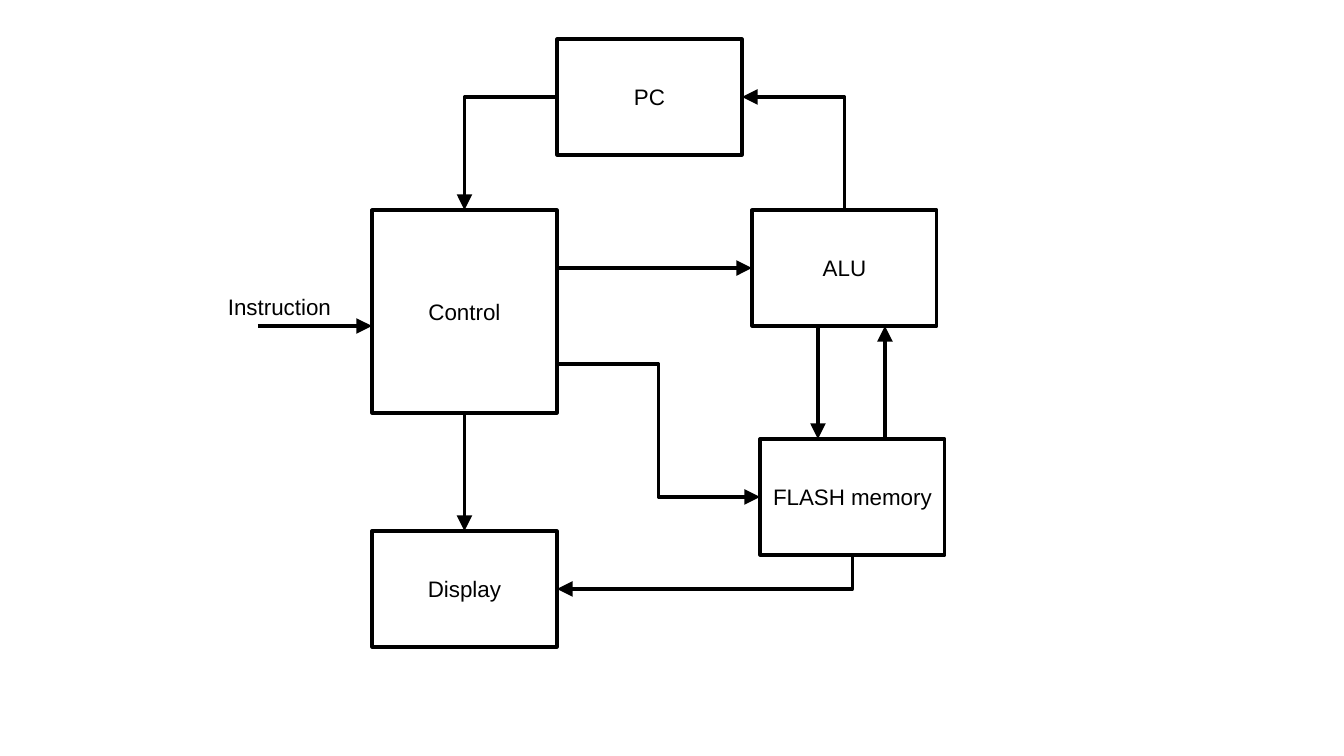
from lxml import etree
from pptx import Presentation
from pptx.dml.color import RGBColor
from pptx.enum.shapes import MSO_CONNECTOR, MSO_SHAPE
from pptx.enum.text import MSO_ANCHOR, PP_ALIGN
from pptx.oxml.ns import qn
from pptx.util import Pt

COLORS = {"ink": "000000", "paper": "FFFFFF"}
BOX_W, BOX_H = 185, 116
BOXES = {
    "ALU": (752, 210, BOX_W, BOX_H),
    "PC": (557, 39, BOX_W, BOX_H),
    "Control": (372, 210, BOX_W, 203),
    "Display": (372, 531, BOX_W, BOX_H),
    "FLASH memory": (760, 439, BOX_W, BOX_H),
}
INSTRUCTION_LABEL = ("Instruction", (218, 288, 125, 37))
INSTRUCTION_START = (258, 326)

STRAIGHT, CORNER, STEP = "line", "bentConnector2", "bentConnector3"
ARROWS = [
    (STRAIGHT, ("Control", "right", 58), ("ALU", "left"), "tailEnd"),
    (STRAIGHT, ("FLASH memory", "top", 125), ("ALU", "bottom", 133), "tailEnd"),
    (STRAIGHT, ("ALU", "bottom", 66), ("FLASH memory", "top", 58), "tailEnd"),
    (CORNER, ("PC", "right"), ("ALU", "top"), "headEnd"),
    (CORNER, ("PC", "left"), ("Control", "top"), "tailEnd"),
    (STRAIGHT, ("Control", "bottom"), ("Display", "top"), "tailEnd"),
    (STRAIGHT, INSTRUCTION_START, ("Control", "left", 116), "tailEnd"),
    (CORNER, ("Display", "right"), ("FLASH memory", "bottom"), "headEnd"),
    (STEP, ("Control", "right", 154), ("FLASH memory", "left"), "tailEnd"),
]


def px(value):
    return round(value * 914400 / 100.8)


def color(name):
    return RGBColor.from_string(COLORS[name])


def end_point(end):
    if end[0] not in BOXES:
        return end
    name, side, *offset = end
    x, y, w, h = BOXES[name]
    if side in ("left", "right"):
        return x + (w if side == "right" else 0), y + (offset[0] if offset else h / 2)
    return x + (offset[0] if offset else w / 2), y + (h if side == "bottom" else 0)


def style_line(line):
    line.color.rgb = color("ink")
    line.width = Pt(2.25)


def write(frame, text, align):
    paragraph = frame.paragraphs[0]
    paragraph.alignment = align
    run = paragraph.add_run()
    run.text = text
    run.font.name = "Arial"
    run.font.size = Pt(16)
    run.font.color.rgb = color("ink")


def add_box(slide, name, bounds):
    box = slide.shapes.add_shape(MSO_SHAPE.RECTANGLE, *map(px, bounds))
    box.shadow.inherit = False
    box.fill.solid()
    box.fill.fore_color.rgb = color("paper")
    style_line(box.line)
    box.text_frame.vertical_anchor = MSO_ANCHOR.MIDDLE
    box.text_frame.word_wrap = True
    write(box.text_frame, name, PP_ALIGN.CENTER)


def add_arrow(slide, route, start, finish, arrow_end):
    kind = MSO_CONNECTOR.STRAIGHT if route == STRAIGHT else MSO_CONNECTOR.ELBOW
    ends = map(px, (*end_point(start), *end_point(finish)))
    arrow = slide.shapes.add_connector(kind, *ends)
    style_line(arrow.line)
    properties = arrow._element.spPr
    properties.find(qn("a:prstGeom")).set("prst", route)
    line = properties.find(qn("a:ln"))
    etree.SubElement(line, qn("a:" + arrow_end), type="triangle", w="lg", len="lg")
    etree.SubElement(properties, qn("a:effectLst"))


prs = Presentation()
prs.slide_width, prs.slide_height = px(1344), px(756)
slide = prs.slides.add_slide(prs.slide_layouts[6])

for name, bounds in BOXES.items():
    add_box(slide, name, bounds)
for arrow in ARROWS:
    add_arrow(slide, *arrow)

label_text, label_bounds = INSTRUCTION_LABEL
label = slide.shapes.add_textbox(*map(px, label_bounds))
label.text_frame.word_wrap = False
write(label.text_frame, label_text, PP_ALIGN.LEFT)

prs.save("out.pptx")
